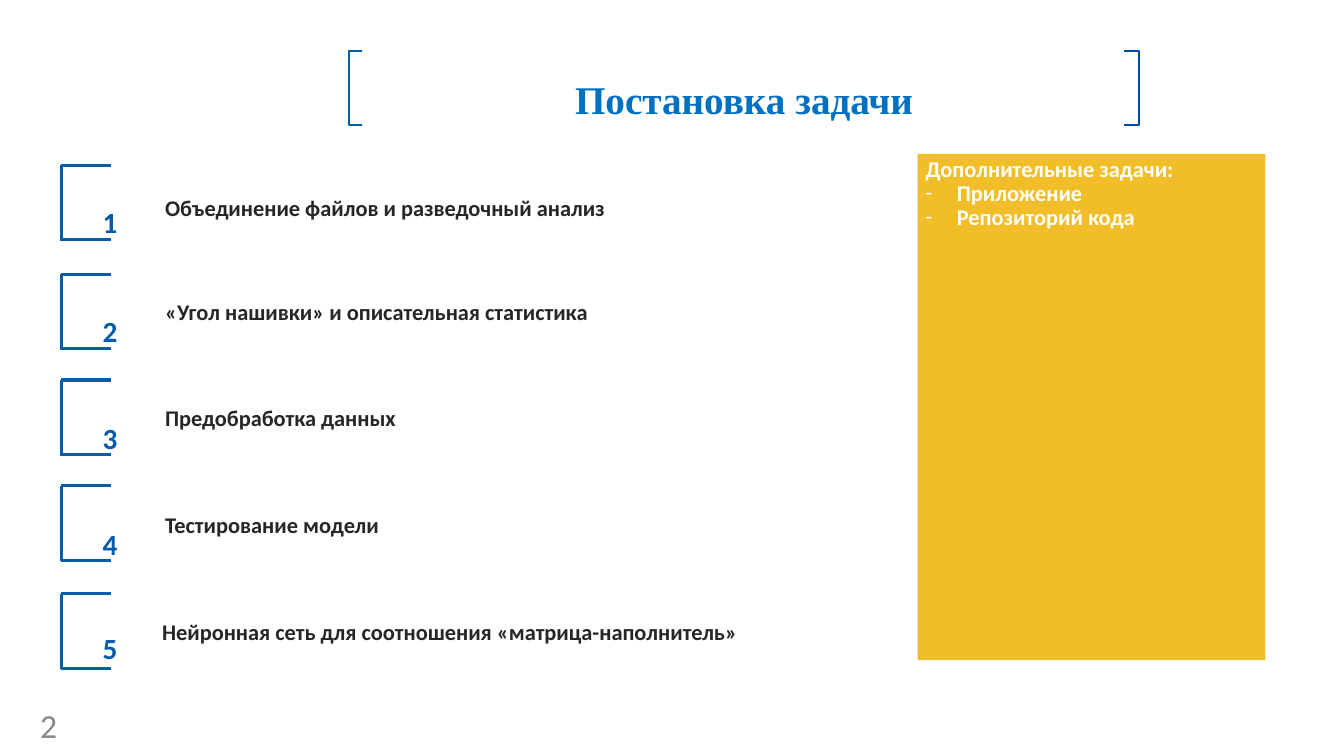
from lxml.etree import SubElement
from pptx import Presentation
from pptx.dml.color import RGBColor
from pptx.enum.shapes import MSO_CONNECTOR, MSO_SHAPE
from pptx.enum.text import MSO_ANCHOR, MSO_AUTO_SIZE, PP_ALIGN
from pptx.oxml.ns import qn
from pptx.util import Inches, Pt

BLUE = "065CAB"
WHITE = "FFFFFF"
TASKS = [
    ("Объединение файлов и разведочный анализ", 1.64, 1.54, 1.88, 1.92),
    ("«Угол нашивки» и описательная статистика", 2.72, 1.54, 2.91, 3.0),
    ("Предобработка данных", 3.77, 1.54, 3.96, 4.06),
    ("Тестирование модели", 4.82, 1.54, 5.02, 5.11),
    ("Нейронная сеть для соотношения «матрица-наполнитель»", 5.89, 1.51, 6.08, 6.14),
]


def color(hex_string):
    """Turn a hex string into a colour."""
    return RGBColor.from_string(hex_string)


class SlideBuilder:
    """Hold the style and the current slide."""

    def __init__(self, slide, font="Calibri"):
        """Keep the slide and the body font."""
        self.slide = slide
        self.font = font

    def style(self, paragraph, size, hex_string, bold=True, font=None):
        """Set the font of a paragraph."""
        paragraph.font.name = font or self.font
        paragraph.font.size = Pt(size)
        paragraph.font.bold = bold
        paragraph.font.color.rgb = color(hex_string)

    def title(self, text, left, top, width, height):
        """Place and format the title placeholder."""
        shape = self.slide.shapes.title
        shape.left, shape.top = Inches(left), Inches(top)
        shape.width, shape.height = Inches(width), Inches(height)
        shape.fill.solid()
        shape.fill.fore_color.rgb = color(WHITE)
        shape.line.color.rgb = color(WHITE)
        shape.line.width = Pt(2)
        frame = shape.text_frame
        frame.text = text
        frame.auto_size = MSO_AUTO_SIZE.NONE
        frame.vertical_anchor = MSO_ANCHOR.MIDDLE
        paragraph = frame.paragraphs[0]
        paragraph.alignment = PP_ALIGN.CENTER
        self.style(paragraph, 28, "0070C0", font="Times New Roman")

    def title_bracket(self, tip, spine, top, bottom, hex_string):
        """Draw an open bracket beside the title."""
        corners = [(tip, top), (spine, top), (spine, bottom), (tip, bottom)]
        points = [(Inches(x), Inches(y)) for x, y in corners]
        builder = self.slide.shapes.build_freeform(*points[0])
        builder.add_line_segments(points[1:], close=False)
        shape = builder.convert_to_shape()
        shape.shadow.inherit = False
        shape.fill.background()
        shape.line.color.rgb = color(hex_string)
        shape.line.width = Pt(1.3)

    def text(self, text, left, top, width, height, size, hex_string, bold=True):
        """Add a one-line text box and return it."""
        box = self.slide.shapes.add_textbox(
            Inches(left), Inches(top), Inches(width), Inches(height))
        box.text_frame.word_wrap = True
        box.text_frame.text = text
        self.style(box.text_frame.paragraphs[0], size, hex_string, bold)
        return box

    def line(self, x1, y1, x2, y2):
        """Draw a straight blue line."""
        connector = self.slide.shapes.add_connector(
            MSO_CONNECTOR.STRAIGHT, Inches(x1), Inches(y1), Inches(x2), Inches(y2))
        connector.line.color.rgb = color(BLUE)
        connector.line.width = Pt(2.25)
        SubElement(connector._element.spPr, qn("a:effectLst"))

    def task(self, number, text, bracket_top, text_left, text_top, number_top):
        """Draw a bracket with its raised number and its task."""
        left, right, bottom = 0.61, 1.1, bracket_top + 0.74
        self.line(left, bracket_top, left, bottom + 0.01)
        for y in (bracket_top, bottom):
            self.line(left, y, right, y)
        self.text(text, text_left, text_top, 6.8, 0.37, 16, "262626")
        box = self.text(str(number), 0.92, number_top, 1.18, 0.5, 36, BLUE)
        run = box.text_frame.paragraphs[0].runs[0]
        run.font._element.set("baseline", "30000")

    def panel(self, heading, items, left, top, width, height):
        """Draw the filled panel with a heading and dashed items."""
        shape = self.slide.shapes.add_shape(
            MSO_SHAPE.RECTANGLE, Inches(left), Inches(top), Inches(width), Inches(height))
        shape.shadow.inherit = False
        shape.fill.solid()
        shape.fill.fore_color.rgb = color("F1BE29")
        shape.line.fill.background()
        frame = shape.text_frame
        frame.word_wrap = True
        frame.vertical_anchor = MSO_ANCHOR.TOP
        frame.margin_left = frame.margin_right = Inches(0.08)
        frame.margin_top = frame.margin_bottom = Inches(0.04)
        frame.text = "\n".join([heading, *items])
        for index, paragraph in enumerate(frame.paragraphs):
            paragraph.alignment = PP_ALIGN.JUSTIFY
            paragraph.line_spacing = 0.9
            if index:
                self.dash(paragraph)
            self.style(paragraph, 16, WHITE)

    def dash(self, paragraph):
        """Give a paragraph a white hanging dash."""
        properties = paragraph._p.get_or_add_pPr()
        properties.set("marL", str(Inches(0.31)))
        properties.set("indent", str(-Inches(0.31)))
        bullet_color = SubElement(properties, qn("a:buClr"))
        SubElement(bullet_color, qn("a:srgbClr"), val=WHITE)
        SubElement(properties, qn("a:buFont"), typeface=self.font)
        SubElement(properties, qn("a:buChar"), char="-")


def main():
    """Build and save the slide."""
    presentation = Presentation()
    presentation.slide_width = Inches(13.33)
    presentation.slide_height = Inches(7.5)
    builder = SlideBuilder(presentation.slides.add_slide(presentation.slide_layouts[5]))
    builder.title("Постановка задачи", 3.46, 0.51, 7.84, 0.95)
    builder.title_bracket(3.59, 3.46, 0.51, 1.24, BLUE)
    builder.title_bracket(11.15, 11.3, 0.51, 1.24, "0046A2")
    builder.panel("Дополнительные задачи:", ["Приложение", "Репозиторий кода"],
                  9.1, 1.53, 3.45, 5.02)
    for number, task in enumerate(TASKS, start=1):
        builder.task(number, *task)
    page = builder.text("2", 0.3, 7.04, 0.62, 0.3, 24, "898989", bold=False)
    page.text_frame.vertical_anchor = MSO_ANCHOR.MIDDLE
    presentation.save("out.pptx")


if __name__ == "__main__":
    main()
